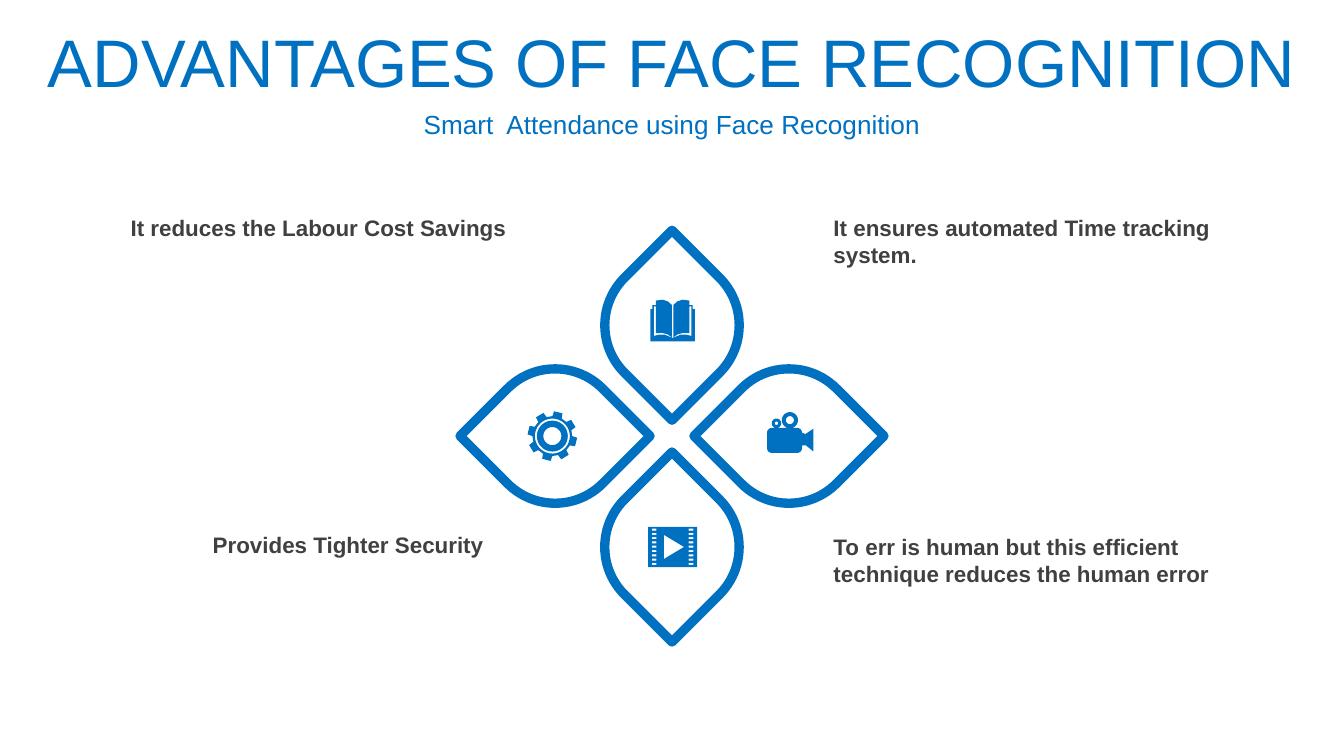
from math import cos, radians, sin

from lxml.etree import SubElement
from pptx import Presentation
from pptx.dml.color import RGBColor
from pptx.enum.shapes import MSO_SHAPE
from pptx.enum.text import MSO_ANCHOR, MSO_AUTO_SIZE, PP_ALIGN
from pptx.oxml.ns import qn
from pptx.util import Inches, Pt

COLORS = {"accent": "0070C0", "text": "404040"}
CELL = Inches(0.1)
COLUMNS, ROWS = 100, 56.25
HUB_COLUMN, HUB_ROW = 50, 32.45
REACH_ACROSS, REACH_DOWN = 8.7, 8.25
PETAL_SIZE = 10


def cells(*counts):
    return [round(count * CELL) for count in counts]


def color(name):
    return RGBColor.from_string(COLORS[name])


def write(frame, wording, size, shade, align, bold=False):
    frame.word_wrap = True
    frame.text = wording
    paragraph = frame.paragraphs[0]
    paragraph.alignment = align
    paragraph.font.name = "Arial"
    paragraph.font.size = Pt(size)
    paragraph.font.bold = bold
    paragraph.font.color.rgb = color(shade)


def fill_heading(heading, wording, size, row, height):
    heading.left, heading.top, heading.width, heading.height = cells(0, row, COLUMNS, height)
    write(heading.text_frame, wording, size, "accent", PP_ALIGN.CENTER)
    heading.text_frame.auto_size = MSO_AUTO_SIZE.NONE
    heading.text_frame.vertical_anchor = MSO_ANCHOR.MIDDLE


def add_advantage(slide, wording, column, row, height, align):
    advantage = slide.shapes.add_textbox(*cells(column, row, 33.1, height))
    write(advantage.text_frame, wording, 12, "text", align, bold=True)


def add_petal(slide, column, row, rotation):
    corner = (column - PETAL_SIZE / 2, row - PETAL_SIZE / 2)
    petal = slide.shapes.add_shape(
        MSO_SHAPE.ROUND_2_DIAG_RECTANGLE, *cells(*corner, PETAL_SIZE, PETAL_SIZE))
    petal.adjustments[0] = 0.5
    petal.adjustments[1] = 0
    petal.rotation = rotation
    petal.shadow.inherit = False
    petal.fill.background()
    petal.line.color.rgb = color("accent")
    petal.line.width = Pt(5)
    SubElement(petal.line._get_or_add_ln(), qn("a:round"))


def add_icon(slide, contours, column, row):
    placed = [[cells(column + x, row + y) for x, y in contour] for contour in contours]
    builder = slide.shapes.build_freeform(*placed[0][0])
    for index, (start, *others) in enumerate(placed):
        if index:
            builder.move_to(*start)
        builder.add_line_segments(others, close=True)
    icon = builder.convert_to_shape()
    icon.shadow.inherit = False
    icon.fill.solid()
    icon.fill.fore_color.rgb = color("accent")
    icon.line.fill.background()


def arc(x, y, radius, start=0, end=360, step=10):
    angles = [radians(angle) for angle in range(start, end + 1, step)]
    return [(x + radius * cos(angle), y + radius * sin(angle)) for angle in angles]


def box(left, top, right, bottom):
    return [(left, top), (right, top), (right, bottom), (left, bottom)]


def mirrored(contour):
    return [(-x, y) for x, y in contour]


def gear_contours():
    teeth = []
    for tooth in range(8):
        middle = 14 + 45 * tooth
        for offset, radius in ((-14, 1.48), (-10, 1.85), (10, 1.85), (14, 1.48)):
            angle = radians(middle + offset)
            teeth.append((radius * sin(angle), -radius * cos(angle)))
    return [teeth] + [arc(0, 0, radius) for radius in (1.3, 1.15, 0.67)]


def book_contours():
    cover = [(0, 1.55), (1.65, 1.55), (1.65, -0.85), (1.5, -0.85), (1.5, -1.15),
             (1.25, -1.15), (1.25, -1.05), (1.4, -1.05), (1.4, 1.15),
             (1, 1.05), (0.6, 1.05), (0, 1.3)]
    page = [(0.05, -1.15), (0.35, -1.42), (0.75, -1.55), (1.25, -1.48),
            (1.25, 0.95), (0.8, 0.92), (0.4, 1.02), (0.05, 1.25)]
    return [cover, page, mirrored(cover), mirrored(page)]


def camera_contours():
    lens = [(0.9, 0), (1.15, 0.1), (1.75, -0.3), (1.75, 1.4), (1.2, 0.95), (0.9, 0.95)]
    body = (arc(-1.35, 0, 0.35, 180, 270) + arc(0.55, 0, 0.35, 270, 360) + lens
            + arc(0.55, 1.15, 0.35, 0, 90) + arc(-1.35, 1.15, 0.35, 90, 180))
    return [body, arc(0, -0.93, 0.6), arc(0, -0.93, 0.3),
            arc(-1, -0.7, 0.35), arc(-1, -0.7, 0.13)]


def film_contours():
    holes = [box(1.2, top, 1.55, top + 0.15)
             for top in (-1.37 + 0.32 * hole for hole in range(9))]
    play = [(-0.65, -0.9), (0.85, 0), (-0.65, 0.9)]
    return [box(-1.83, -1.5, 1.83, 1.5), play] + holes + [mirrored(hole) for hole in holes]


def main():
    """Build the slide on the advantages of face recognition."""
    presentation = Presentation()
    presentation.slide_width, presentation.slide_height = cells(COLUMNS, ROWS)
    slide = presentation.slides.add_slide(presentation.slide_layouts[0])
    title, subtitle = slide.placeholders
    fill_heading(title, "ADVANTAGES OF FACE RECOGNITION", 36, 1.35, 6.3)
    fill_heading(subtitle, "Smart  Attendance using Face Recognition", 14, 7.7, 3.1)

    for across, down, rotation in ((0, -1, 135), (-1, 0, 45), (0, 1, 315), (1, 0, 45)):
        add_petal(slide, HUB_COLUMN + across * REACH_ACROSS,
                  HUB_ROW + down * REACH_DOWN, rotation)

    for contours, column, row in (
        (gear_contours(), 41.1, 32.45),
        (book_contours(), 50.05, 23.85),
        (camera_contours(), 58.78, 32.2),
        (film_contours(), 50.05, 40.7),
    ):
        add_icon(slide, contours, column, row)

    for wording, column, row, height, align in (
        ("It ensures automated Time tracking system.", 61.03, 15.45, 5, PP_ALIGN.LEFT),
        ("To err is human but this efficient technique reduces the human error",
         61.03, 39.2, 5, PP_ALIGN.LEFT),
        ("Provides Tighter Security", 3.87, 39.05, 3, PP_ALIGN.RIGHT),
        ("It reduces the Labour Cost Savings", 5.57, 15.45, 3, PP_ALIGN.RIGHT),
    ):
        add_advantage(slide, wording, column, row, height, align)

    presentation.save("out.pptx")


if __name__ == "__main__":
    main()
